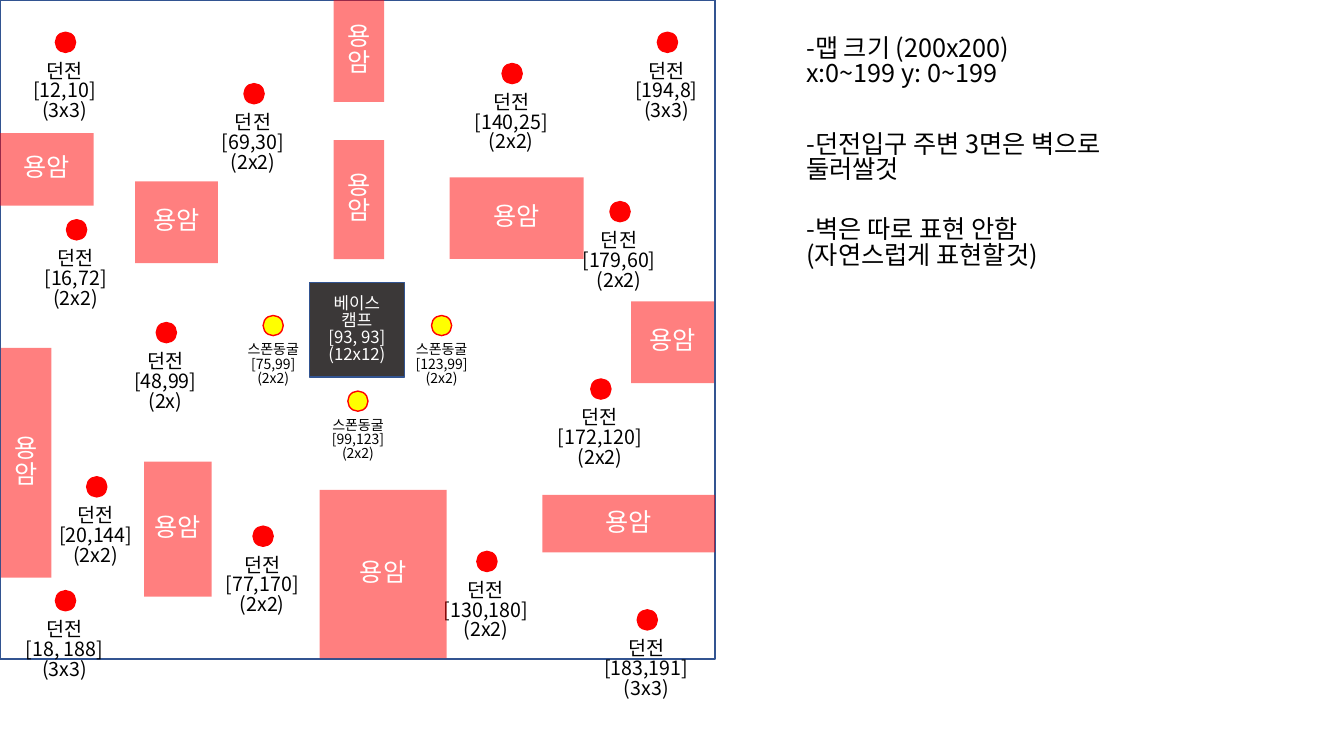
import pptx
import pptx.util
import pptx.dml.color
import pptx.enum.shapes
import pptx.enum.text
import pptx.oxml.ns
import lxml.etree

Inches = pptx.util.Inches
Pt = pptx.util.Pt
KIND = pptx.enum.shapes.MSO_SHAPE
ALIGN = pptx.enum.text.PP_ALIGN
qn = pptx.oxml.ns.qn
FONT = "Noto Sans CJK KR"
RED, WHITE, BLACK, BLUE = "FF0000", "FFFFFF", "000000", "325491"

deck = pptx.Presentation()
deck.slide_width, deck.slide_height = Inches(13.33), Inches(7.5)
slide = deck.slides.add_slide(deck.slide_layouts[6])


def paint(kind, box, fill=None, line=None):
    """Add a flat shape with an optional fill and outline."""
    shape = slide.shapes.add_shape(kind, *map(Inches, box))
    shape.shadow.inherit = False
    for part, tone in ((shape.fill, fill), (shape.line.fill, line)):
        if tone:
            part.solid()
            part.fore_color.rgb = pptx.dml.color.RGBColor.from_string(tone)
        else:
            part.background()
    if line:
        shape.line.width = Pt(1)
    return shape


def write(text, size, tone=BLACK, box=None, shape=None, align=ALIGN.CENTER):
    """Write lines of text in a shape or in a new text box."""
    shape = shape or slide.shapes.add_textbox(*map(Inches, box))
    frame = shape.text_frame
    frame.word_wrap = True
    frame.text = text
    for para in frame.paragraphs:
        para.alignment = align
        para.line_spacing = 0.84
        font = para.font
        font.size = Pt(size)
        font.color.rgb = pptx.dml.color.RGBColor.from_string(tone)
        font.name = FONT
        # Hangul takes its typeface from a:ea
        props = para._p.pPr.find(qn("a:defRPr"))
        lxml.etree.SubElement(props, qn("a:ea"), typeface=FONT)


# Map and base camp
paint(KIND.RECTANGLE, (0, 0, 7.09, 6.54), line=BLUE)
camp = paint(KIND.RECTANGLE, (3.07, 2.8, 0.94, 0.94), "3B3838", BLUE)
write("베이스\n캠프\n[93, 93]\n(12x12)", 12, WHITE, shape=camp)

# Dungeons: left and top of the dot, map position, size
dungeons = [
    (0.55, 0.32, "[12,10]", "(3x3)"),
    (2.42, 0.83, "[69,30]", "(2x2)"),
    (6.52, 0.32, "[194,8]", "(3x3)"),
    (4.98, 0.63, "[140,25]", "(2x2)"),
    (6.05, 2.0, "[179,60]", "(2x2)"),
    (5.86, 3.76, "[172,120]", "(2x2)"),
    (6.32, 6.05, "[183,191]", "(3x3)"),
    (4.73, 5.47, "[130,180]", "(2x2)"),
    (2.51, 5.22, "[77,170]", "(2x2)"),
    (0.55, 5.86, "[18, 188]", "(3x3)"),
    (0.86, 4.73, "[20,144]", "(2x2)"),
    (1.55, 3.2, "[48,99]", "(2x)"),
    (0.66, 2.18, "[16,72]", "(2x2)"),
]
for x, y, spot, size in dungeons:
    paint(KIND.OVAL, (x, y, 0.2, 0.2), RED, RED)
    write(f"던전\n{spot}\n{size}", 14, box=(x - 0.47, y + 0.25, 1.12, 0.81))

# Lava fields
lava = [
    (5.38, 4.91, 1.71, 0.57),
    (3.17, 4.86, 1.26, 1.67),
    (0.01, 3.45, 0.5, 2.28),
    (3.31, 0, 0.5, 1.01),
    (3.31, 1.39, 0.5, 1.18),
    (6.26, 2.99, 0.82, 0.81),
    (1.34, 1.8, 0.82, 0.81),
    (-0.01, 1.32, 0.94, 0.72),
    (1.43, 4.58, 0.67, 1.34),
    (4.46, 1.76, 1.33, 0.81),
]
for box in lava:
    field = paint(KIND.RECTANGLE, box, RED)
    tint = field._element.spPr.find(qn("a:solidFill")).find(qn("a:srgbClr"))
    lxml.etree.SubElement(tint, qn("a:alpha"), val="50000")
    write("용암", 18, WHITE, shape=field)

# Spawn caves
caves = [(2.61, 3.13, "[75,99]"), (3.45, 3.88, "[99,123]"), (4.28, 3.13, "[123,99]")]
for x, y, spot in caves:
    paint(KIND.OVAL, (x, y, 0.2, 0.2), "FFFF00", RED)
    write(f"스폰동굴 {spot}\n(2x2)", 10, box=(x - 0.46, y + 0.23, 1.12, 0.61))

# Notes beside the map
notes = [
    (0.32, "-맵 크기 (200x200)\nx:0~199 y: 0~199"),
    (1.27, "-던전입구 주변 3면은 벽으로 둘러쌀것"),
    (2.12, "-벽은 따로 표현 안함(자연스럽게 표현할것)"),
]
for y, text in notes:
    write(text, 18, box=(7.9, y, 3.37, 0.71), align=ALIGN.LEFT)

deck.save("out.pptx")
